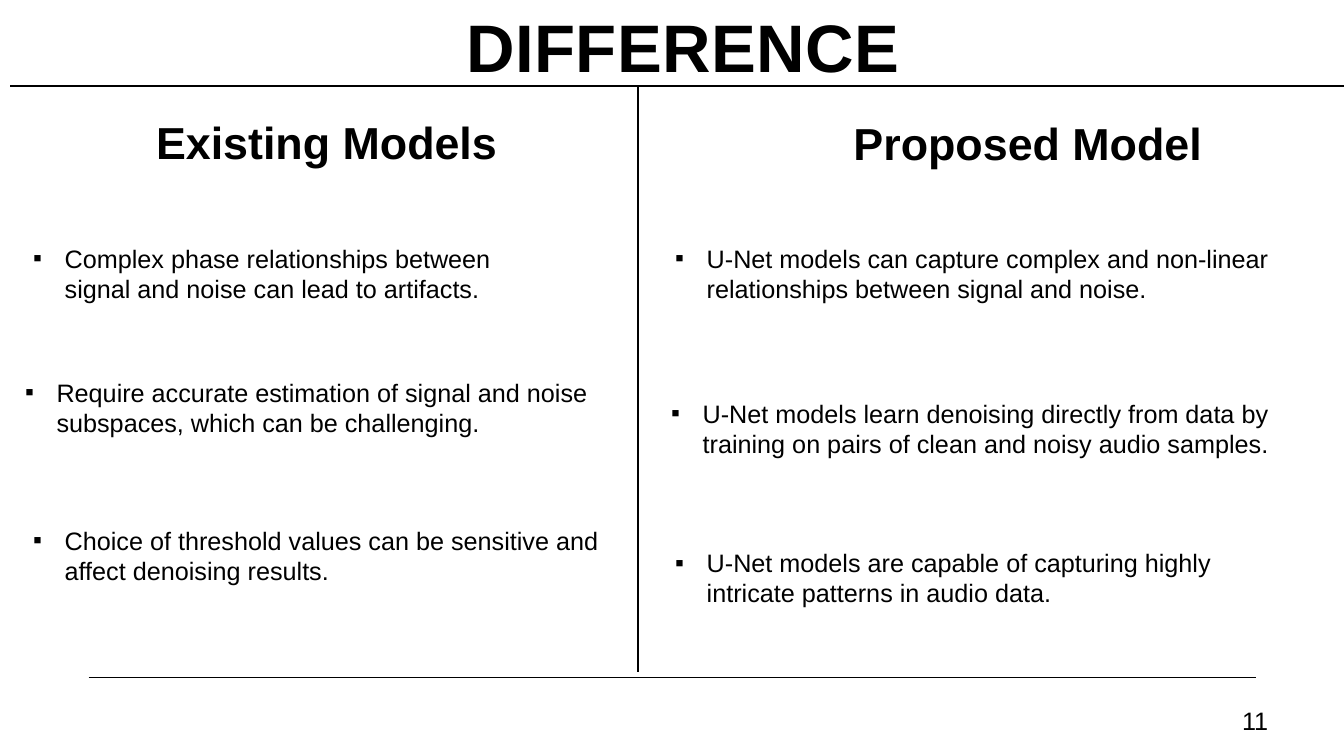
from pptx import Presentation
from pptx import util as u
from pptx.dml.color import RGBColor
from pptx.enum import shapes, text
from pptx.oxml import ns
from lxml import etree

BLACK = RGBColor(0, 0, 0)
WHITE = RGBColor(255, 255, 255)
FONT = "Arial"
BULLET_INDENT = 22.5
BODY_HEIGHT = 51

RULES = [
    (63.4, 483.8, 897.1, 483.8, 1),
    (7.2, 61.2, 960, 61.2, 1.5),
    (455.8, 61.2, 455.8, 480.2, 1.5),
]
HEADINGS = [
    ("Existing Models", 104.4, 78.5, 272.2),
    ("Proposed Model", 602.6, 79.2, 290.9),
]
POINTS = [
    ("Complex phase relationships between signal and noise can lead to artifacts.", 16.6, 169.9, 375.1),
    ("Require accurate estimation of signal and noise subspaces, which can be challenging.", 10.8, 265.7, 421.2),
    ("Choice of threshold values can be sensitive and affect denoising results.", 16.6, 371.5, 421.2),
    ("U-Net models can capture complex and non-linear relationships between signal and noise.", 475.2, 169.9, 454.3),
    ("U-Net models learn denoising directly from data by training on pairs of clean and noisy audio samples.",
     472.3, 280.8, 460.1),
    ("U-Net models are capable of capturing highly intricate patterns in audio data.", 475.2, 387.4, 447.8),
]


class Slide:
    """Draws black text and rules on one page."""

    def __init__(self, deck):
        self.page = deck.slides.add_slide(deck.slide_layouts[6])
        fill = self.page.background.fill
        fill.solid()
        fill.fore_color.rgb = WHITE

    def rule(self, x1, y1, x2, y2, width):
        line = self.page.shapes.add_connector(
            shapes.MSO_CONNECTOR.STRAIGHT, u.Pt(x1), u.Pt(y1), u.Pt(x2), u.Pt(y2))
        line.line.color.rgb = BLACK
        line.line.width = u.Pt(width)
        etree.SubElement(line._element.spPr, ns.qn("a:effectLst"))

    def label(self, words, left, top, width, height, size, bold=False):
        box = self.page.shapes.add_textbox(u.Pt(left), u.Pt(top), u.Pt(width), u.Pt(height))
        box.text_frame.word_wrap = True
        para = box.text_frame.paragraphs[0]
        span = para.add_run()
        span.text = words
        span.font.name = FONT
        span.font.size = u.Pt(size)
        span.font.bold = bold
        span.font.color.rgb = BLACK
        return box

    def title(self, words, left, top, width, height):
        box = self.label(words, left, top, width, height, 48, True)
        span = box.text_frame.paragraphs[0].runs[0]
        span.font._element.set("spc", "30")

    def bullet(self, words, left, top, width):
        box = self.label(words, left, top, width, BODY_HEIGHT, 18)
        props = box.text_frame.paragraphs[0]._p.get_or_add_pPr()
        props.set("marL", str(u.Pt(BULLET_INDENT)))
        props.set("indent", str(-u.Pt(BULLET_INDENT)))
        etree.SubElement(props, ns.qn("a:buFont")).set("typeface", FONT)
        etree.SubElement(props, ns.qn("a:buChar")).set("char", "▪")

    def number(self, words, left, top, width, height):
        box = self.label(words, left, top, width, height, 18)
        box.text_frame.vertical_anchor = text.MSO_ANCHOR.MIDDLE
        box.text_frame.paragraphs[0].alignment = text.PP_ALIGN.RIGHT


def main():
    deck = Presentation()
    deck.slide_width, deck.slide_height = u.Pt(960), u.Pt(540)
    slide = Slide(deck)
    for rule in RULES:
        slide.rule(*rule)
    slide.title("DIFFERENCE", 326.2, 0, 405.4, 65.5)
    for words, left, top, width in HEADINGS:
        slide.label(words, left, top, width, 46, 32, True)
    for point in POINTS:
        slide.bullet(*point)
    slide.number("11", 859.7, 500.4, 53.3, 28.8)
    deck.save("out.pptx")


if __name__ == "__main__":
    main()
